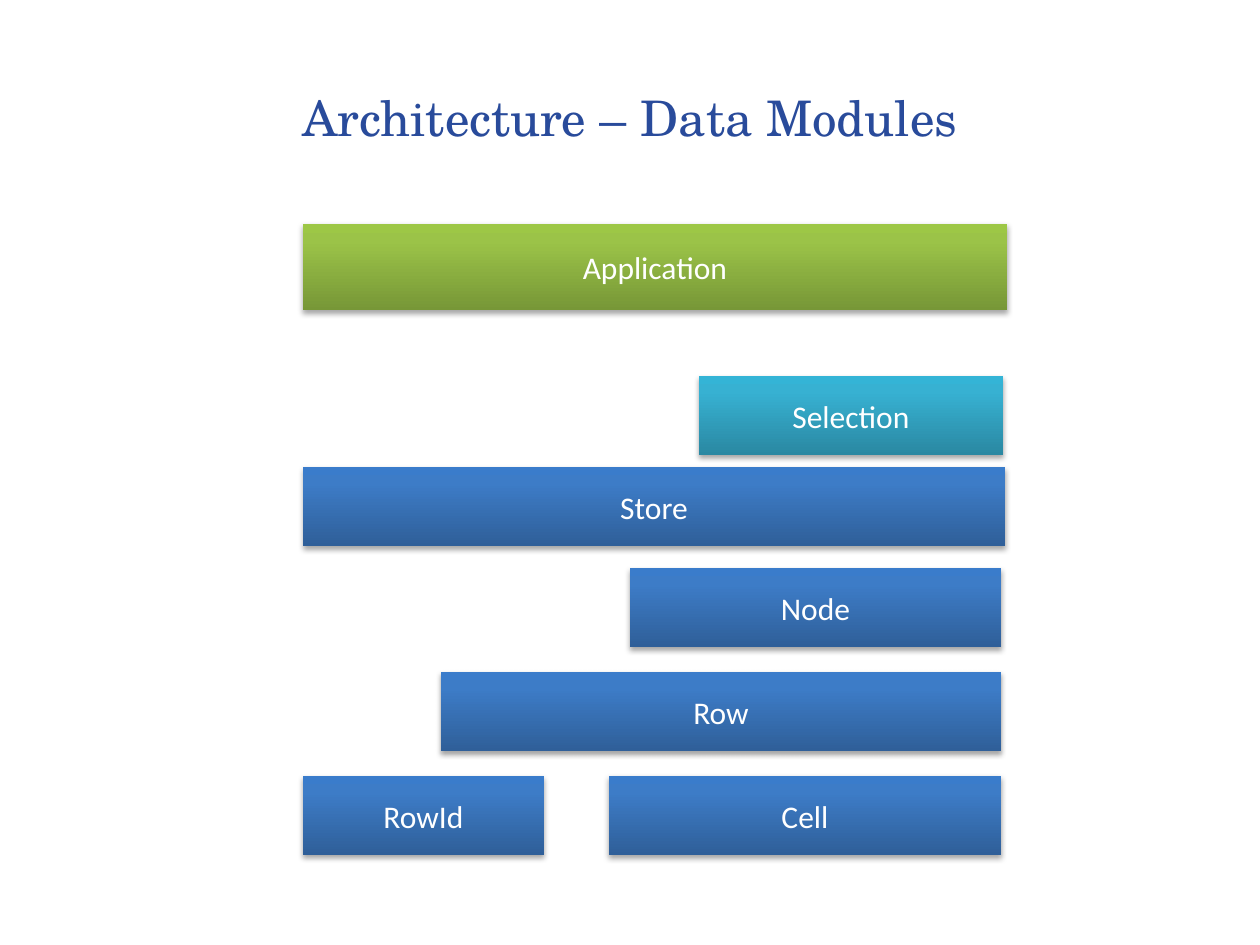
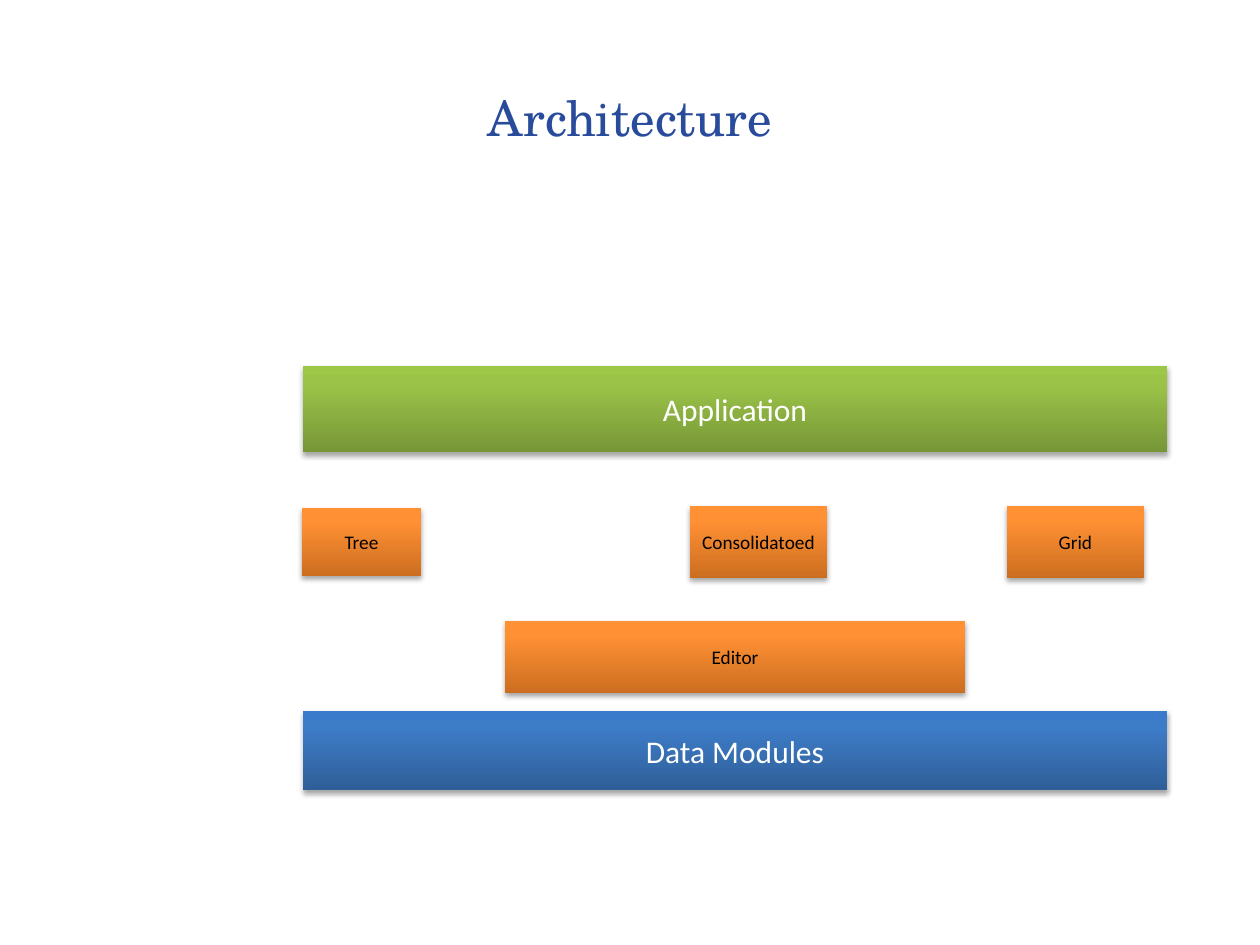
from dataclasses import dataclass
from lxml.etree import SubElement
from pptx import Presentation
from pptx.dml.color import RGBColor
from pptx.enum.shapes import MSO_SHAPE
from pptx.enum.text import MSO_ANCHOR, PP_ALIGN
from pptx.oxml.ns import qn
from pptx.util import Emu, Pt

SCALE = 914400 / 126  # EMU per px


@dataclass(frozen=True)
class Theme:
    # Gradients run from the bottom edge to the top edge
    blue: tuple = ("2F5F99", "3D7CC7", "3A7CCB")
    green: tuple = ("779737", "9BC348", "9DC746")
    teal: tuple = ("2A88A2", "37B1D2", "34B4D6")
    orange: tuple = ("CC6E20", "FF9034", "FF9136")
    stops: tuple = (0, 80, 100)
    title: str = "294B9B"
    white: str = "FFFFFF"
    black: str = "000000"
    serif: str = "TeX Gyre Schola"
    sans: str = "Calibri"
    head: int = 28
    large: int = 18
    small: int = 11


THEME = Theme()
LEFT = 303   # shared left edge of the layers
TALL = 86    # application layer
HIGH = 79    # data layers
PART = 72    # view parts


def px(num):
    return Emu(round(num * SCALE))


# Text
def write(shape, text, font=THEME.sans, size=THEME.large, color=THEME.white):
    frame = shape.text_frame
    frame.word_wrap = True
    frame.vertical_anchor = MSO_ANCHOR.MIDDLE
    frame.margin_left = frame.margin_right = 0
    para = frame.paragraphs[0]
    para.alignment = PP_ALIGN.CENTER
    run = para.add_run()
    run.text = text
    run.font.name = font
    run.font.size = Pt(size)
    run.font.color.rgb = RGBColor.from_string(color)


def add_title(slide, text):
    box = slide.shapes.add_textbox(px(63), px(38), px(1134), px(157))
    write(box, text, font=THEME.serif, size=THEME.head, color=THEME.title)


# Fill and shadow
def shade(shape, tones):
    shape.fill.gradient()
    shape.fill.gradient_angle = 90
    stops = shape.fill._xPr.find(".//" + qn("a:gsLst"))
    stops.clear()
    for pos, tone in zip(THEME.stops, tones):
        stop = SubElement(stops, qn("a:gs"), pos=str(pos * 1000))
        SubElement(stop, qn("a:srgbClr"), val=tone)


def drop(shape):
    shape.shadow.inherit = False
    effect = shape._element.spPr.find(qn("a:effectLst"))
    cast = SubElement(effect, qn("a:outerShdw"), blurRad=str(Pt(3.1)),
                      dist=str(Pt(1.8)), dir="5400000", rotWithShape="0")
    color = SubElement(cast, qn("a:srgbClr"), val=THEME.black)
    SubElement(color, qn("a:alpha"), val="35000")


# Boxes
def add_box(slide, text, left, top, width, height=HIGH, tones=THEME.blue,
            **style):
    box = slide.shapes.add_shape(MSO_SHAPE.RECTANGLE, px(left), px(top),
                                 px(width), px(height))
    shade(box, tones)
    box.line.fill.background()
    drop(box)
    write(box, text, **style)


def add_part(slide, text, left, top, width, height=PART):
    add_box(slide, text, left, top, width, height, THEME.orange,
            size=THEME.small, color=THEME.black)


def add_app(slide, top, width):
    add_box(slide, "Application", LEFT, top, width, TALL, THEME.green)


# Slides
def draw_data(slide):
    add_title(slide, "Architecture – Data Modules")
    add_app(slide, 224, 704)
    add_box(slide, "Selection", 699, 376, 304, tones=THEME.teal)
    add_box(slide, "Store", LEFT, 467, 702)
    # Node, row and cell end on one right edge at an equal pitch
    right, first, pitch = 1001, 568, 104
    steps = (("Node", 630), ("Row", 441), ("Cell", 609))
    for row, (name, left) in enumerate(steps):
        add_box(slide, name, left, first + row * pitch, right - left)
    add_box(slide, "RowId", LEFT, first + 2 * pitch, 241)


def draw_views(slide):
    add_title(slide, "Architecture")
    wide = 864
    add_app(slide, 366, wide)
    add_part(slide, "Tree", 302, 508, 119, 68)
    for name, left in (("Consolidatoed", 690), ("Grid", 1007)):
        add_part(slide, name, left, 506, 137)
    add_part(slide, "Editor", 505, 621, 460)
    add_box(slide, "Data Modules", LEFT, 711, wide)


def main():
    deck = Presentation()
    deck.slide_width, deck.slide_height = px(1260), px(945)
    blank = deck.slide_layouts[6]
    for draw in (draw_data, draw_views):
        draw(deck.slides.add_slide(blank))
    deck.save("out.pptx")


if __name__ == "__main__":
    main()
